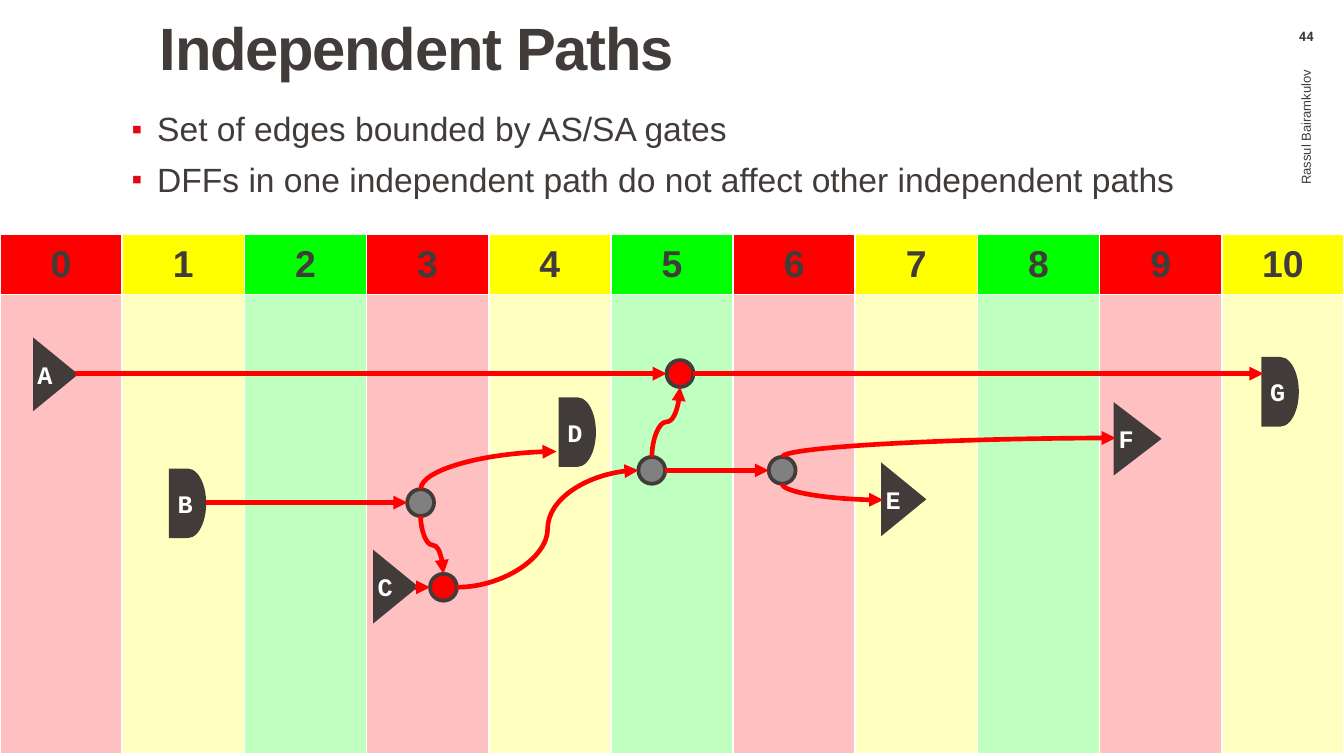
from lxml.etree import SubElement
from pptx import Presentation
from pptx.dml.color import RGBColor
from pptx.enum.shapes import MSO_CONNECTOR, MSO_SHAPE
from pptx.enum.text import MSO_ANCHOR, PP_ALIGN
from pptx.oxml.ns import qn
from pptx.util import Inches, Pt

DARK, RED, GREY, WHITE = "413C3A", "FF0000", "808080", "FFFFFF"
HEADER_FILLS = (RED, "FFFF00", "00FF00")
LANE_FILLS = ("FFC0C2", "FFFFBF", "BFFFBF")
RADIUS = 0.1
GATE_HEIGHT = 0.49


def rgb(value):
    return RGBColor.from_string(value)


def add_xml(parent, tag, **attributes):
    return SubElement(parent, qn(tag), attributes)


class Diagram:
    """Draws the elements of one slide in a common style."""

    def __init__(self, slide):
        self.shapes = slide.shapes

    def format_text(self, frame, size, font="Arial", color=DARK, bold=False,
                    align=PP_ALIGN.LEFT, insets=(0, 0, 0, 0)):
        (frame.margin_left, frame.margin_top,
         frame.margin_right, frame.margin_bottom) = map(Inches, insets)
        frame.word_wrap = True
        for paragraph in frame.paragraphs:
            paragraph.alignment = align
            for run in paragraph.runs:
                run.font.size, run.font.name = Pt(size), font
                run.font.bold, run.font.color.rgb = bold, rgb(color)

    def text(self, content, box, size, **style):
        label = self.shapes.add_textbox(*map(Inches, box))
        label.text_frame.text = content
        self.format_text(label.text_frame, size, **style)
        return label

    def bullets(self, content, box, size, **style):
        body = self.text(content, box, size, **style)
        for paragraph in body.text_frame.paragraphs:
            paragraph.line_spacing = 0.9
            paragraph.space_before = Pt(7.5)
            properties = paragraph._p.get_or_add_pPr()
            properties.set("marL", str(Inches(0.19)))
            properties.set("indent", str(-Inches(0.19)))
            color = add_xml(properties, "a:buClr")
            add_xml(color, "a:srgbClr", val="E30613")
            add_xml(properties, "a:buSzPct", val="90000")
            add_xml(properties, "a:buFont", typeface="Arial")
            add_xml(properties, "a:buChar", char="▪")

    def fill_cell(self, cell, color):
        properties = cell._tc.get_or_add_tcPr()
        for side in ("a:lnL", "a:lnR", "a:lnT", "a:lnB"):
            border = add_xml(properties, side, w=str(Pt(1)))
            add_xml(add_xml(border, "a:solidFill"), "a:srgbClr", val=WHITE)
        cell.fill.solid()
        cell.fill.fore_color.rgb = rgb(color)

    def lanes(self, count, top, row_heights):
        table = self.shapes.add_table(2, count, 0, Inches(top), Inches(10),
                                      Inches(sum(row_heights))).table
        for row, height in zip(table.rows, row_heights):
            row.height = Inches(height)
        for phase in range(count):
            table.columns[phase].width = Inches(10 / count)
            header, lane = table.cell(0, phase), table.cell(1, phase)
            header.text_frame.text = str(phase)
            self.format_text(header.text_frame, 20, bold=True,
                             align=PP_ALIGN.CENTER)
            header.margin_left = header.margin_right = 0
            header.margin_top = header.margin_bottom = 0
            header.vertical_anchor = MSO_ANCHOR.MIDDLE
            self.fill_cell(header, HEADER_FILLS[phase % 3])
            self.fill_cell(lane, LANE_FILLS[phase % 3])

    def shape(self, kind, box, fill):
        shape = self.shapes.add_shape(kind, *map(Inches, box))
        shape.shadow.inherit = False
        shape.fill.solid()
        shape.fill.fore_color.rgb = rgb(fill)
        shape.line.color.rgb = rgb(DARK)
        shape.line.width = Pt(2)
        add_xml(shape.line._get_or_add_ln(), "a:miter", lim="800000")
        return shape

    def gate(self, kind, letter, box):
        gate = self.shape(kind, box, DARK)
        gate.text_frame.text = letter
        self.format_text(gate.text_frame, 13.5, font="Courier New",
                         color=WHITE, bold=True, align=PP_ALIGN.CENTER)
        gate.text_frame.vertical_anchor = MSO_ANCHOR.MIDDLE
        return gate

    def delay_gate(self, letter, left, top):
        self.gate(MSO_SHAPE.FLOWCHART_DELAY, letter,
                  (left, top, 0.25, GATE_HEIGHT))

    def triangle_gate(self, letter, left, top, width=0.3):
        # The triangle is turned to point right, its letter turned back
        shift = (GATE_HEIGHT - width) / 2
        gate = self.gate(MSO_SHAPE.ISOSCELES_TRIANGLE, letter,
                         (left - shift, top + shift, GATE_HEIGHT, width))
        gate.rotation = 90
        gate.text_frame._txBody.bodyPr.set("vert", "vert270")

    def node(self, center, fill):
        x, y = center
        self.shape(MSO_SHAPE.OVAL,
                   (x - RADIUS, y - RADIUS, 2 * RADIUS, 2 * RADIUS), fill)

    def arrow(self, start, end, kind=MSO_CONNECTOR.STRAIGHT):
        arrow = self.shapes.add_connector(kind, *map(Inches, start + end))
        arrow.line.color.rgb = rgb(RED)
        arrow.line.width = Pt(2.5)
        add_xml(arrow.line._get_or_add_ln(), "a:tailEnd", type="triangle")
        add_xml(arrow._element.spPr, "a:effectLst")
        return arrow

    def vertical_curve(self, start, end, preset):
        """Curve to the right that leaves its start going up or down."""
        (x1, y1), (x2, y2) = start, end
        x, y = (x1 + x2) / 2, (y1 + y2) / 2
        half_width, half_height = abs(y2 - y1) / 2, abs(x2 - x1) / 2
        curve = self.arrow((x - half_width, y - half_height),
                           (x + half_width, y + half_height),
                           MSO_CONNECTOR.CURVE)
        properties = curve._element.spPr
        properties.find(qn("a:prstGeom")).set("prst", preset)
        frame = properties.find(qn("a:xfrm"))
        frame.set("flipH", "1")
        if y2 < y1:
            frame.set("flipV", "1")
        frame.set("rot", str((90 if y2 < y1 else 270) * 60000))


def port(center, dx, dy):
    return center[0] + dx * RADIUS, center[1] + dy * RADIUS


def main():
    presentation = Presentation()
    presentation.slide_width = Inches(10)
    presentation.slide_height = Inches(10 * 9 / 16)
    diagram = Diagram(presentation.slides.add_slide(
        presentation.slide_layouts[6]))

    # Clock phases
    diagram.lanes(11, 1.74, (0.45, 3.42))

    # Title, author, page number and bullets
    title = diagram.text("Independent Paths", (0.99, 0.14, 8.45, 1.17), 32,
                         bold=True, insets=(0.2, 0, 0.08, 0.05))
    heading = title.text_frame.paragraphs[0]
    heading.line_spacing = 0.9
    heading.runs[0].font._element.set("spc", "-70")
    author = diagram.text("Rassul Bairamkulov ", (7.78, 2.05, 3.87, 0.56), 7,
                          align=PP_ALIGN.RIGHT, insets=(0.1, 0.05, 0.1, 0.05))
    author.rotation = 270
    author.text_frame.vertical_anchor = MSO_ANCHOR.MIDDLE
    diagram.text("44", (9.44, 0.21, 0.56, 0.18), 7, font="Roboto", bold=True,
                 align=PP_ALIGN.CENTER, insets=(0.1, 0, 0.1, 0))
    diagram.bullets(
        "Set of edges bounded by AS/SA gates\n"
        "DFFs in one independent path do not affect other independent paths",
        (0.78, 0.79, 8.66, 0.87), 18, insets=(0.2, 0.05, 0.1, 0.05))

    # Gates
    for letter, left, top in (("B", 1.27, 3.5), ("D", 4.17, 2.97),
                              ("G", 9.4, 2.67)):
        diagram.delay_gate(letter, left, top)
    for letter, left, top in (("A", 0.26, 2.54), ("C", 2.79, 4.12),
                              ("E", 6.57, 3.47)):
        diagram.triangle_gate(letter, left, top)
    diagram.triangle_gate("F", 8.3, 3.02, width=0.32)

    # Merging and splitting nodes
    merge_c, merge_a = (3.3, 4.37), (5.06, 2.78)
    split_b, split_mid, split_end = (3.13, 3.74), (4.85, 3.5), (5.82, 3.5)
    for center in (merge_c, merge_a):
        diagram.node(center, RED)
    for center in (split_b, split_mid, split_end):
        diagram.node(center, GREY)

    # Straight edges
    for start, end in (
            ((1.53, 3.74), port(split_b, -1, 0)),
            ((0.56, 2.78), port(merge_a, -1, 0)),
            (port(split_mid, 1, 0), port(split_end, -1, 0)),
            (port(merge_a, 1, 0), (9.4, 2.78)),
            ((3.09, 4.37), port(merge_c, -1, 0))):
        diagram.arrow(start, end)

    # Curved edges: one bend into a gate, two bends into a node
    for start, end in ((port(split_end, 0, -1), (8.3, 3.26)),
                       (port(split_end, 0, 1), (6.57, 3.72)),
                       (port(split_b, 0, -1), (4.14, 3.36))):
        diagram.vertical_curve(start, end, "curvedConnector2")
    for start, end in ((port(split_b, 0, 1), port(merge_c, 0, -1)),
                       (port(split_mid, 0, -1), port(merge_a, 0, 1))):
        diagram.vertical_curve(start, end, "curvedConnector3")
    diagram.arrow(port(merge_c, 1, 0), port(split_mid, -1, 0),
                  MSO_CONNECTOR.CURVE)

    presentation.save("out.pptx")


if __name__ == "__main__":
    main()
